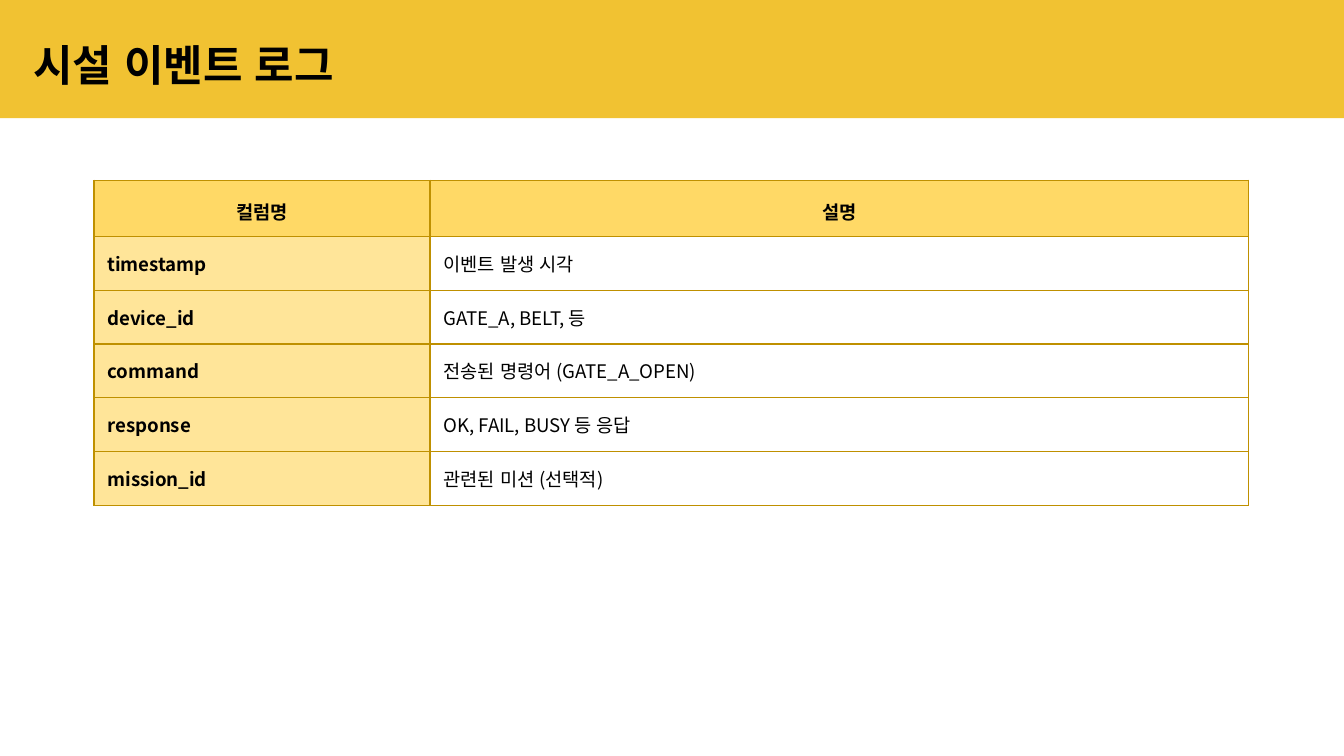
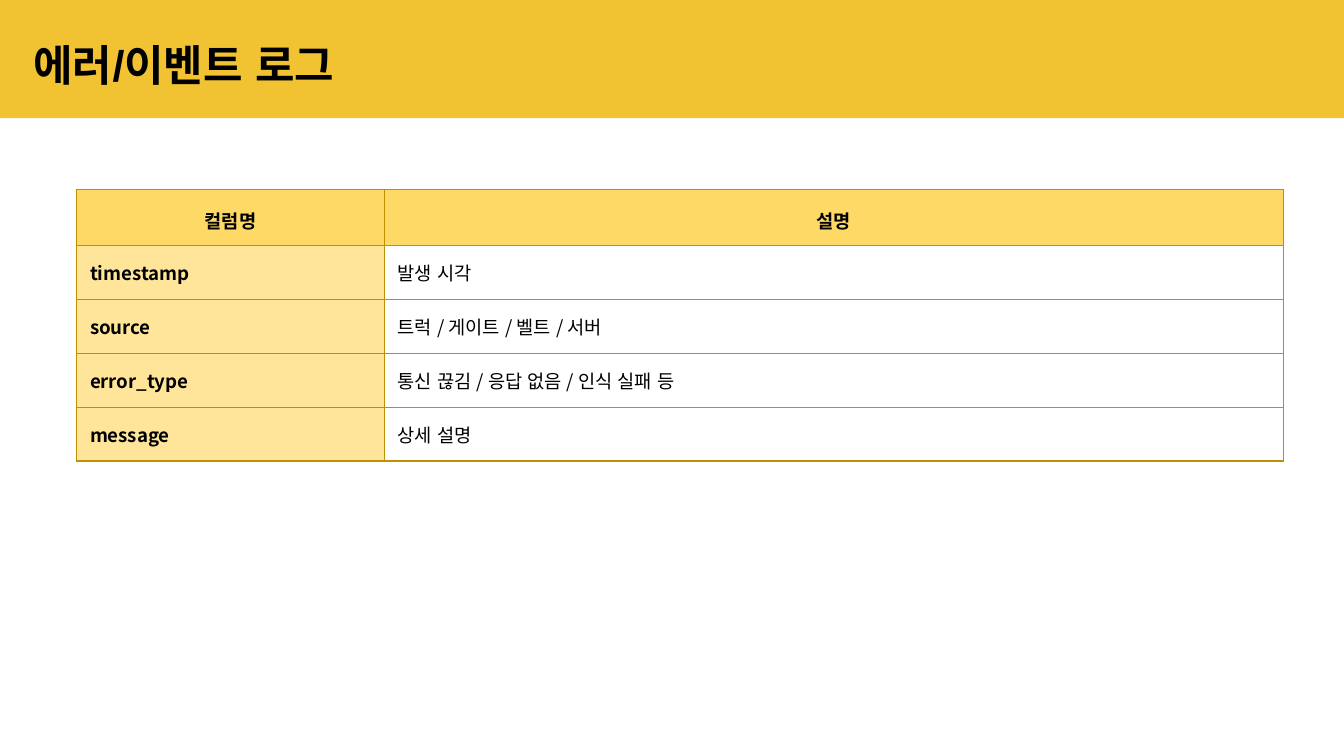
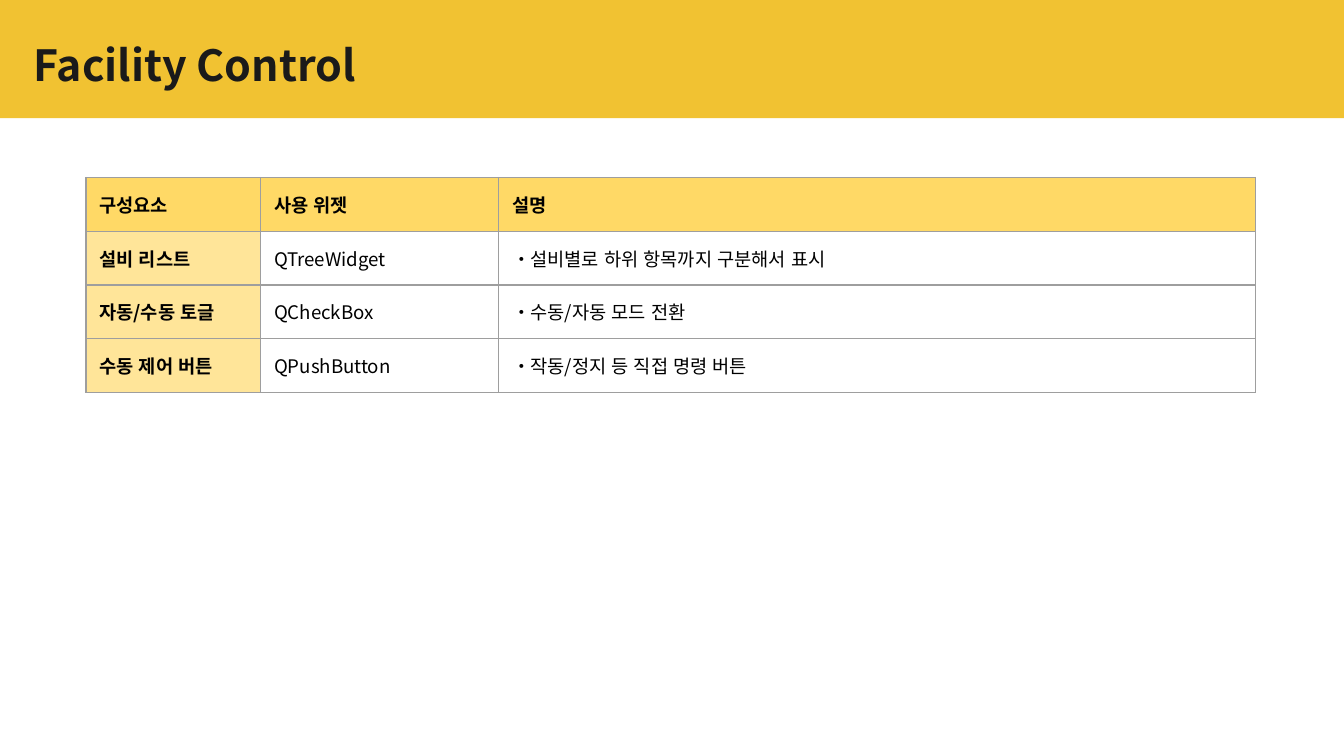
"""Build three slides of log-column and control-widget tables."""
from dataclasses import dataclass

import lxml.etree
import pptx
import pptx.dml.color
import pptx.enum.lang
import pptx.enum.shapes
import pptx.enum.text
import pptx.oxml.ns
import pptx.util

Inches = pptx.util.Inches
Pt = pptx.util.Pt


@dataclass(frozen=True)
class Theme:
    band: str = "F1C232"
    header: str = "FFD966"
    label: str = "FFE599"
    gold: str = "BF9000"
    gray: str = "9E9E9E"
    black: str = "000000"
    charcoal: str = "1A1A1A"
    latin: str = "Arial"
    korean: str = "Noto Sans CJK KR"
    title_size: float = 23
    table_size: float = 10
    border_width: float = 0.75
    inset: float = 0.1


THEME = Theme()
BODY_HEIGHT = 0.4

SLIDES = [
    {
        "title": "시설 이벤트 로그",
        "title_font": THEME.latin,
        "title_color": THEME.black,
        "position": (0.7, 1.34),
        "columns": (2.5, 6.09),
        "header_height": 0.42,
        "border": THEME.gold,
        "centered_header": True,
        "rows": [
            ("컬럼명", "설명"),
            ("timestamp", "이벤트 발생 시각"),
            ("device_id", "GATE_A, BELT, 등"),
            ("command", "전송된 명령어 (GATE_A_OPEN)"),
            ("response", "OK, FAIL, BUSY 등 응답"),
            ("mission_id", "관련된 미션 (선택적)"),
        ],
    },
    {
        "title": "에러/이벤트 로그",
        "title_font": THEME.latin,
        "title_color": THEME.black,
        "position": (0.57, 1.41),
        "columns": (2.29, 6.69),
        "header_height": 0.42,
        "border": THEME.gold,
        "centered_header": True,
        "rows": [
            ("컬럼명", "설명"),
            ("timestamp", "발생 시각"),
            ("source", "트럭 / 게이트 / 벨트 / 서버"),
            ("error_type", "통신 끊김 / 응답 없음 / 인식 실패 등"),
            ("message", "상세 설명"),
        ],
    },
    {
        "title": "Facility Control",
        "title_font": THEME.korean,
        "title_color": THEME.charcoal,
        "position": (0.64, 1.32),
        "columns": (1.3, 1.77, 5.63),
        "header_height": 0.4,
        "border": THEME.gray,
        "centered_header": False,
        "rows": [
            ("구성요소", "사용 위젯", "설명"),
            ("설비 리스트", "QTreeWidget", "‧설비별로 하위 항목까지 구분해서 표시"),
            ("자동/수동 토글", "QCheckBox", "‧수동/자동 모드 전환"),
            ("수동 제어 버튼", "QPushButton", "‧작동/정지 등 직접 명령 버튼"),
        ],
    },
]


def rgb(color):
    return pptx.dml.color.RGBColor.from_string(color)


def add_element(parent, tag, **attributes):
    return lxml.etree.SubElement(parent, pptx.oxml.ns.qn(tag), attributes)


def set_font(paragraph, name, size, color, bold):
    font = paragraph.font
    font.name, font.size, font.bold = name, Pt(size), bold
    font.color.rgb = rgb(color)
    font.language_id = pptx.enum.lang.MSO_LANGUAGE_ID.KOREAN
    properties = paragraph._p.pPr.find(pptx.oxml.ns.qn("a:defRPr"))
    add_element(properties, "a:ea", typeface=THEME.korean)


def set_margins(target):
    for side in ("left", "right", "top", "bottom"):
        setattr(target, f"margin_{side}", Inches(THEME.inset))


def add_title_band(slide, content):
    band = slide.shapes.add_shape(
        pptx.enum.shapes.MSO_SHAPE.RECTANGLE, 0, 0, Inches(10), Inches(0.88))
    band.shadow.inherit = False
    band.fill.solid()
    band.fill.fore_color.rgb = rgb(THEME.band)
    band.line.fill.background()
    title = slide.shapes.add_textbox(
        Inches(0.15), Inches(0.18), Inches(8.41), Inches(0.59))
    frame = title.text_frame
    frame.word_wrap = True
    frame.vertical_anchor = pptx.enum.text.MSO_ANCHOR.MIDDLE
    set_margins(frame)
    paragraph = frame.paragraphs[0]
    paragraph.text = content["title"]
    set_font(paragraph, content["title_font"], THEME.title_size,
             content["title_color"], True)


def set_borders(cell, color):
    properties = cell._tc.get_or_add_tcPr()
    width = str(int(Pt(THEME.border_width)))
    for index, side in enumerate(("a:lnL", "a:lnR", "a:lnT", "a:lnB")):
        line = add_element(properties, side, w=width)
        properties.insert(index, line)
        add_element(add_element(line, "a:solidFill"), "a:srgbClr", val=color)


def fill_cell(cell, text, is_header, is_label, content):
    set_margins(cell)
    if is_header or is_label:
        cell.fill.solid()
        cell.fill.fore_color.rgb = rgb(THEME.header if is_header else THEME.label)
    else:
        cell.fill.background()
    set_borders(cell, content["border"])
    paragraph = cell.text_frame.paragraphs[0]
    paragraph.text = text
    if is_header and content["centered_header"]:
        paragraph.alignment = pptx.enum.text.PP_ALIGN.CENTER
        paragraph.line_spacing = 1.15
    set_font(paragraph, THEME.korean, THEME.table_size, THEME.black,
             is_header or is_label)


def add_content_table(slide, content):
    rows, columns = content["rows"], content["columns"]
    heights = [content["header_height"]] + [BODY_HEIGHT] * (len(rows) - 1)
    left, top = content["position"]
    table = slide.shapes.add_table(
        len(rows), len(columns), Inches(left), Inches(top),
        Inches(sum(columns)), Inches(sum(heights))).table
    table.first_row = table.horz_banding = False
    for column, width in zip(table.columns, columns):
        column.width = Inches(width)
    for row_index, texts in enumerate(rows):
        table.rows[row_index].height = Inches(heights[row_index])
        for column_index, text in enumerate(texts):
            fill_cell(table.cell(row_index, column_index), text,
                      row_index == 0, column_index == 0, content)


def main():
    presentation = pptx.Presentation()
    presentation.slide_width = Inches(10)
    presentation.slide_height = Inches(10) * 9 // 16
    for content in SLIDES:
        slide = presentation.slides.add_slide(presentation.slide_layouts[6])
        add_title_band(slide, content)
        add_content_table(slide, content)
    presentation.save("out.pptx")


if __name__ == "__main__":
    main()
